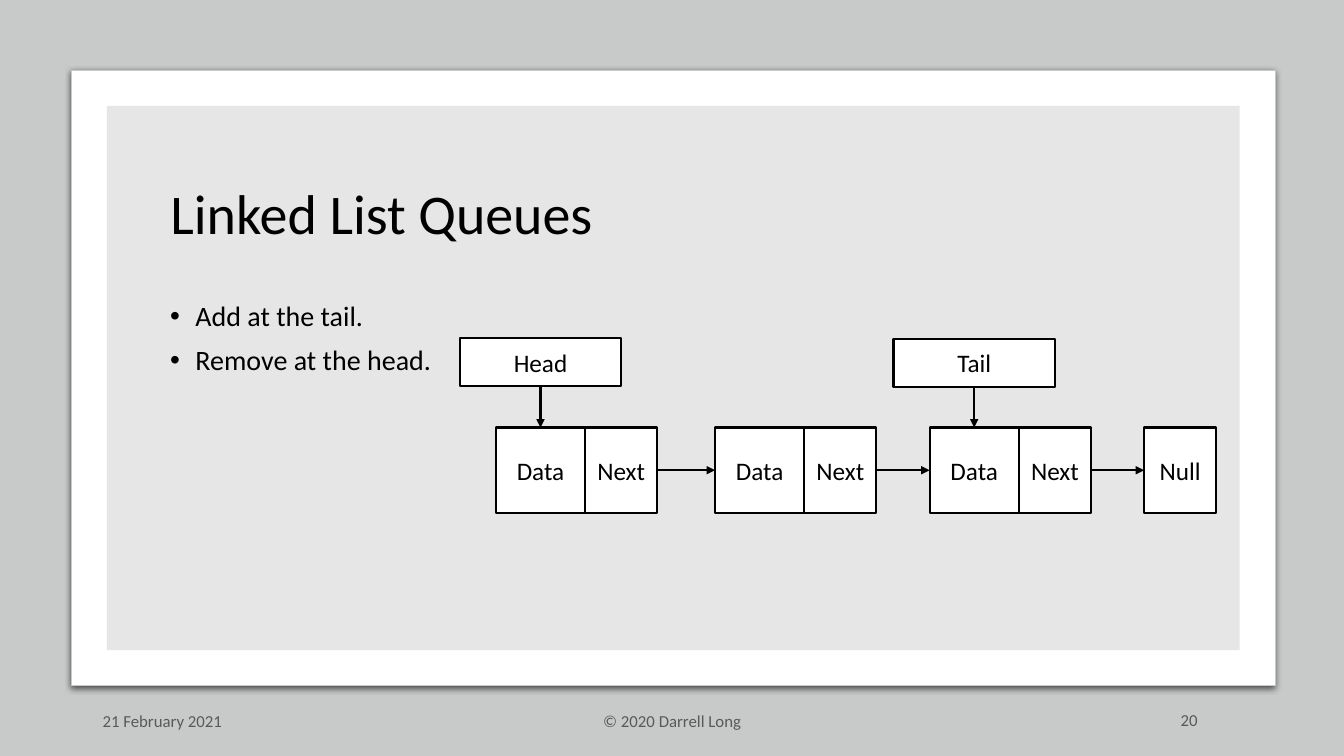
from dataclasses import dataclass

from lxml import etree
from pptx import Presentation
from pptx.dml.color import RGBColor
from pptx.enum.shapes import MSO_CONNECTOR, MSO_SHAPE
from pptx.enum.text import MSO_ANCHOR, MSO_AUTO_SIZE, PP_ALIGN
from pptx.oxml.ns import qn
from pptx.shapes.autoshape import Shape
from pptx.slide import Slide
from pptx.text.text import TextFrame
from pptx.util import Pt

RECTANGLE, ELLIPSE = MSO_SHAPE.RECTANGLE, MSO_SHAPE.OVAL
STRAIGHT = MSO_CONNECTOR.STRAIGHT
TOP, MIDDLE = MSO_ANCHOR.TOP, MSO_ANCHOR.MIDDLE
NO_AUTOFIT = MSO_AUTO_SIZE.NONE
LEFT, CENTER, RIGHT = PP_ALIGN.LEFT, PP_ALIGN.CENTER, PP_ALIGN.RIGHT


@dataclass(frozen=True)
class Theme:
    font: str = "Calibri"
    backdrop: str = "C8CACA"
    panel: str = "E7E6E6"
    paper: str = "FFFFFF"
    ink: str = "000000"
    muted: str = "595959"
    title_size: float = 40
    body_size: float = 20
    box_size: float = 18
    footer_size: float = 12
    line_width: float = 1.5


@dataclass(frozen=True)
class Box:
    left: float
    top: float
    width: float
    height: float


@dataclass(frozen=True)
class Footer:
    text: str
    box: Box
    alignment: PP_ALIGN
    outline: MSO_SHAPE = RECTANGLE
    line_spacing: float = 1.0


@dataclass(frozen=True)
class Pointer:
    label: str
    node: int
    top: float


THEME = Theme()
SLIDE = Box(0, 0, 960, 540)
CARD = Box(51.1, 50.4, 859.7, 439.2)
PANEL = Box(76.3, 75.6, 809.3, 388.8)
TITLE = Box(114.5, 113.8, 736.6, 82.1)
BODY = Box(114.5, 212.4, 352.8, 212.4)
BULLETS = ("Add at the tail.", "Remove at the head.")
BULLET_INDENT = 18

FOOTERS = (
    Footer("21 February 2021", Box(66.2, 500.4, 216, 28.8), LEFT),
    Footer("© 2020 Darrell Long", Box(318.2, 500.4, 324, 28.8), CENTER),
    Footer("20", Box(678.2, 500.4, 216, 28.8), RIGHT, ELLIPSE, 0.9),
)

NODE_LEFTS = (354.2, 510.7, 664)
NULL_LEFT = 817.2
NODE_TOP, NODE_HEIGHT = 305.4, 61
DATA_WIDTH, NEXT_WIDTH = 63.8, 51.5
POINTER_WIDTH, POINTER_HEIGHT = 115.3, 34.6
POINTERS = (Pointer("Head", 0, 241.2), Pointer("Tail", 2, 241.9))


def add_box(slide: Slide, box: Box, fill: str = "", line: str = "",
            line_width: float = THEME.line_width,
            outline: MSO_SHAPE = RECTANGLE) -> Shape:
    """Add a shadowless shape; an empty colour means no fill or no line."""
    shape = slide.shapes.add_shape(
        outline, Pt(box.left), Pt(box.top), Pt(box.width), Pt(box.height))
    shape.shadow.inherit = False
    for paint, colour in ((shape.fill, fill), (shape.line.fill, line)):
        if colour:
            paint.solid()
            paint.fore_color.rgb = RGBColor.from_string(colour)
        else:
            paint.background()
    if line:
        shape.line.width = Pt(line_width)
    return shape


def write(frame: TextFrame, lines: tuple[str, ...], size: float,
          colour: str = THEME.ink, anchor: MSO_ANCHOR = MIDDLE,
          bulleted: bool = False, **paragraph_format: object) -> None:
    frame_format = {"word_wrap": True, "auto_size": NO_AUTOFIT,
                    "vertical_anchor": anchor}
    for name, value in frame_format.items():
        setattr(frame, name, value)
    for index, text in enumerate(lines):
        paragraph = frame.add_paragraph() if index else frame.paragraphs[0]
        paragraph.text = text
        for name, value in paragraph_format.items():
            if name != "space_before" or index:
                setattr(paragraph, name, value)
        if bulleted:
            add_bullet(paragraph._p.get_or_add_pPr())
        font_format = {"name": THEME.font, "size": Pt(size)}
        for name, value in font_format.items():
            setattr(paragraph.font, name, value)
        paragraph.font.color.rgb = RGBColor.from_string(colour)


def add_bullet(properties: etree.ElementBase) -> None:
    properties.set("marL", str(Pt(BULLET_INDENT)))
    properties.set("indent", str(-Pt(BULLET_INDENT)))
    etree.SubElement(properties, qn("a:buFont"), typeface="Arial")
    etree.SubElement(properties, qn("a:buChar"), char="•")


def add_card_shadow(card: Shape) -> None:
    effects = card.element.spPr.find(qn("a:effectLst"))
    shadow = etree.SubElement(
        effects, qn("a:outerShdw"), blurRad=str(Pt(4.5)),
        dist=str(Pt(1.5)), dir="5400000", algn="t", rotWithShape="0")
    colour = etree.SubElement(shadow, qn("a:srgbClr"), val=THEME.ink)
    etree.SubElement(colour, qn("a:alpha"), val="63000")


def add_arrow(slide: Slide, start: tuple[float, float],
              end: tuple[float, float]) -> None:
    arrow = slide.shapes.add_connector(
        STRAIGHT, *(Pt(value) for value in start + end))
    arrow.line.color.rgb = RGBColor.from_string(THEME.ink)
    arrow.line.width = Pt(THEME.line_width)
    properties = arrow.element.spPr
    etree.SubElement(properties.find(qn("a:ln")), qn("a:tailEnd"),
                     type="triangle")
    etree.SubElement(properties, qn("a:effectLst"))


def add_labelled_box(slide: Slide, label: str, box: Box) -> None:
    shape = add_box(slide, box, THEME.paper, THEME.ink)
    frame = shape.text_frame
    frame.margin_left = frame.margin_right = 0
    write(frame, (label,), THEME.box_size, alignment=CENTER)


def add_frame(slide: Slide) -> None:
    add_box(slide, SLIDE, THEME.backdrop)
    add_card_shadow(add_box(slide, CARD, THEME.paper, THEME.backdrop, 0.75))
    add_box(slide, PANEL, THEME.panel)


def add_text(slide: Slide) -> None:
    title = slide.shapes.title
    title.element.getparent().append(title.element)  # in front of the panel
    for name in ("left", "top", "width", "height"):
        setattr(title, name, Pt(getattr(TITLE, name)))
    write(title.text_frame, ("Linked List Queues",), THEME.title_size,
          alignment=LEFT, line_spacing=0.9)
    body = slide.shapes.add_textbox(
        Pt(BODY.left), Pt(BODY.top), Pt(BODY.width), Pt(BODY.height))
    write(body.text_frame, BULLETS, THEME.body_size, anchor=TOP,
          bulleted=True, line_spacing=0.9, space_before=Pt(10))
    for footer in FOOTERS:
        shape = add_box(slide, footer.box, outline=footer.outline)
        write(shape.text_frame, (footer.text,), THEME.footer_size,
              THEME.muted, alignment=footer.alignment,
              line_spacing=footer.line_spacing, space_after=Pt(6))


def add_queue(slide: Slide) -> None:
    middle = NODE_TOP + NODE_HEIGHT / 2
    for left, following in zip(NODE_LEFTS, NODE_LEFTS[1:] + (NULL_LEFT,)):
        next_left = left + DATA_WIDTH
        add_labelled_box(slide, "Data",
                         Box(left, NODE_TOP, DATA_WIDTH, NODE_HEIGHT))
        add_labelled_box(slide, "Next",
                         Box(next_left, NODE_TOP, NEXT_WIDTH, NODE_HEIGHT))
        add_arrow(slide, (next_left + NEXT_WIDTH, middle), (following, middle))
    add_labelled_box(slide, "Null",
                     Box(NULL_LEFT, NODE_TOP, NEXT_WIDTH, NODE_HEIGHT))
    for pointer in POINTERS:
        center = NODE_LEFTS[pointer.node] + DATA_WIDTH / 2
        add_labelled_box(slide, pointer.label, Box(
            center - POINTER_WIDTH / 2, pointer.top,
            POINTER_WIDTH, POINTER_HEIGHT))
        add_arrow(slide, (center, pointer.top + POINTER_HEIGHT),
                  (center, NODE_TOP))


def main() -> None:
    presentation = Presentation()
    presentation.slide_width = Pt(SLIDE.width)
    presentation.slide_height = Pt(SLIDE.height)
    slide = presentation.slides.add_slide(presentation.slide_layouts[5])
    add_frame(slide)
    add_text(slide)
    add_queue(slide)
    presentation.save("out.pptx")


if __name__ == "__main__":
    main()
